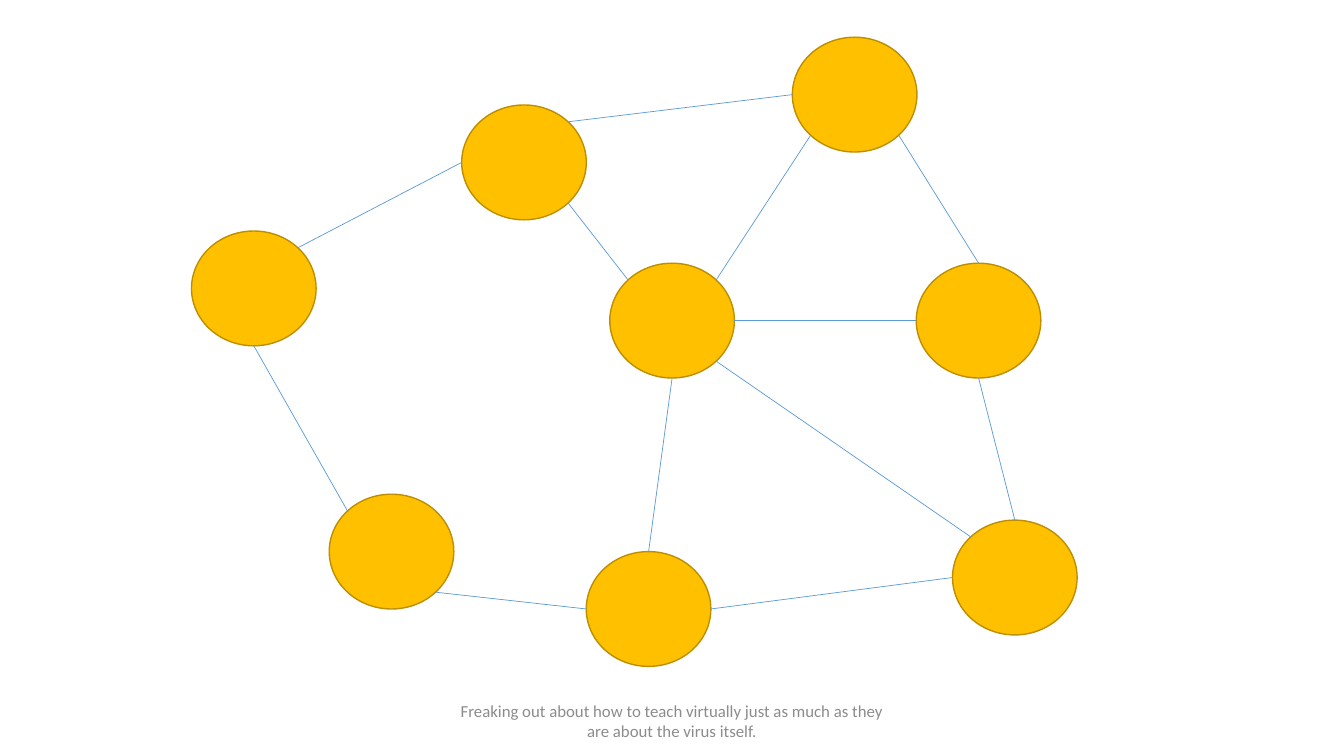
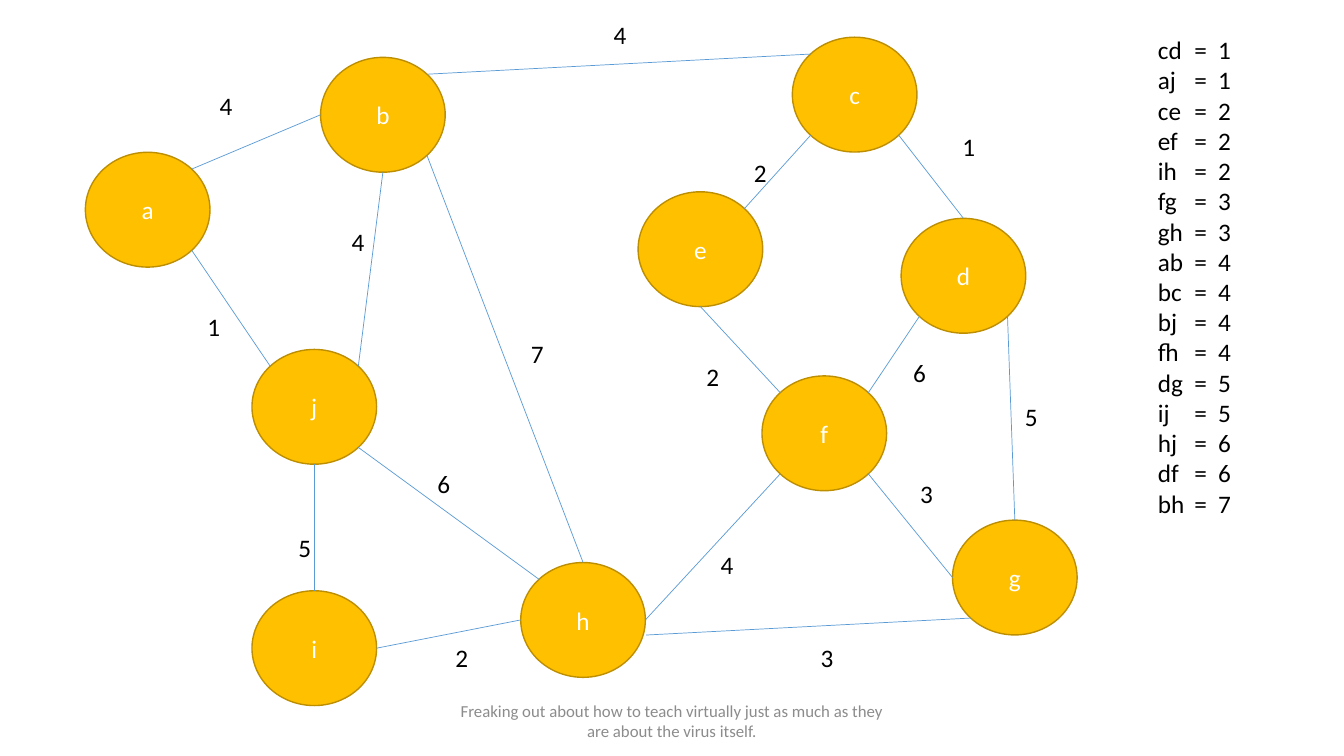
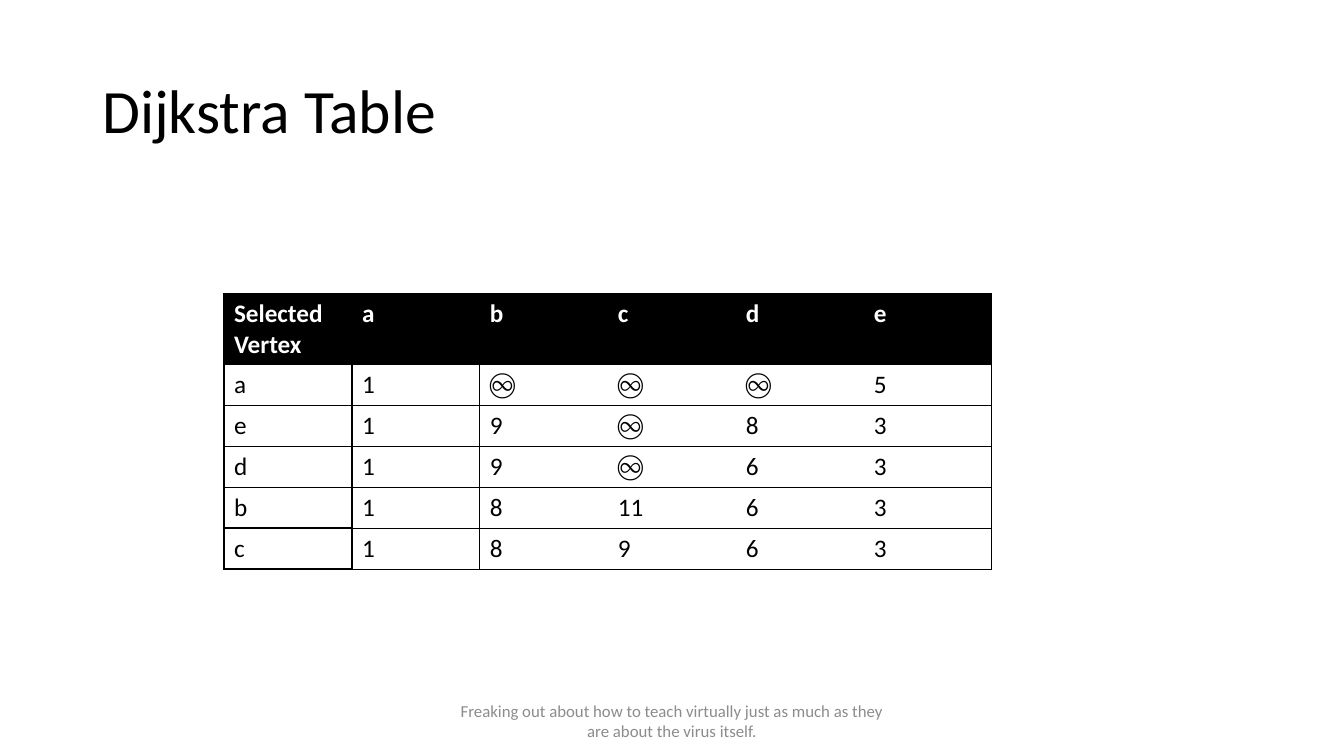
from math import hypot

from pptx import Presentation
from pptx.dml.color import RGBColor
from pptx.enum.shapes import MSO_CONNECTOR, MSO_SHAPE
from pptx.enum.text import MSO_ANCHOR, PP_ALIGN
from pptx.oxml.ns import qn
from pptx.util import Pt
from lxml.etree import SubElement

FONT = "Calibri"
BLACK, WHITE, GRAY = "000000", "FFFFFF", "8C8C8C"
GOLD, RIM, BLUE = "FFC000", "BD8E00", "5B9BD5"
WIDE, HIGH = 89, 82
FOOTER = ("Freaking out about how to teach virtually just as much "
          "as they are about the virus itself.")

PLAIN = {
    "a": (136.8, 165), "b": (329.8, 75), "c": (566, 26.6),
    "d": (654.5, 188), "e": (435.6, 188), "f": (235.2, 353),
    "g": (418.8, 394), "h": (680.4, 371.5),
}
PATHS = [
    "d s h n", "g e h w", "g n e s", "e e d w", "d n c se", "e ne c sw",
    "e nw b se", "b ne c w", "a ne b w", "a s f nw", "f se g w", "e se h nw",
]

NAMED = {
    "a": (61, 108.8), "b": (229, 41), "c": (566, 26.6), "d": (643.7, 156),
    "e": (455.8, 137), "f": (544.3, 268.5), "g": (680.4, 371.5),
    "h": (372, 401.8), "i": (180, 422), "j": (180, 249.6),
}
COSTS = [
    ("j nw a se", "1", 141.1, 219), ("a ne b w", "4", 149.8, 61.2),
    ("j ne b s", "4", 244.1, 158.4), ("b ne c nw", "4", 431.3, 10),
    ("h n b se", "7", 372.2, 238.3), ("i n j s", "5", 206, 376.6),
    ("j se h nw", "6", 305.3, 331.2), ("i e h w", "2", 318.2, 455),
    ("e ne c sw", "2", 531.4, 108.7), ("e s f nw", "2", 497.5, 254.2),
    ("f ne d sw", "6", 645.1, 252), ("d n c se", "1", 680.4, 90),
    ("d se g n", "5", 725, 283), ("f se g w", "3", 650.2, 338.4),
    ("f sw h e", "4", 507.6, 388.8),
]
RANKED = ("cd1 aj1 ce2 ef2 ih2 fg3 gh3 ab4 bc4 bj4 fh4 "
          "dg5 ij5 hj6 df6 bh7").split()

ROWS = [
    ["Selected Vertex", "a", "b", "c", "d", "e"],
    ["a", "1", "♾", "♾", "♾", "5"],
    ["e", "1", "9", "♾", "8", "3"],
    ["d", "1", "9", "♾", "6", "3"],
    ["b", "1", "8", "11", "6", "3"],
    ["c", "1", "8", "9", "6", "3"],
]


def color(code):
    return RGBColor.from_string(code)


def style(frame, size, code, align=PP_ALIGN.LEFT, bold=False):
    for para in frame.paragraphs:
        para.alignment = align
        for run in para.runs:
            run.font.name = FONT
            run.font.size = Pt(size)
            run.font.bold = bold
            run.font.color.rgb = color(code)


def label(slide, box, text, size=18, code=BLACK, align=PP_ALIGN.LEFT,
          anchor=MSO_ANCHOR.TOP, wrap=True):
    frame = slide.shapes.add_textbox(*map(Pt, box)).text_frame
    frame.word_wrap = wrap
    frame.vertical_anchor = anchor
    frame.text = text
    style(frame, size, code, align)
    return frame


def node(slide, spot, text=""):
    shape = slide.shapes.add_shape(
        MSO_SHAPE.OVAL, *map(Pt, (*spot, WIDE, HIGH)))
    shape.shadow.inherit = False
    shape.fill.solid()
    shape.fill.fore_color.rgb = color(GOLD)
    shape.line.color.rgb = color(RIM)
    shape.line.width = Pt(1)
    if text:
        shape.text_frame.text = text
        shape.text_frame.vertical_anchor = MSO_ANCHOR.MIDDLE
        style(shape.text_frame, 18, WHITE, PP_ALIGN.CENTER)


def port(spot, side):
    x = ("e" in side) - ("w" in side)
    y = ("s" in side) - ("n" in side)
    reach = 2 * hypot(x, y)
    return (spot[0] + WIDE * (0.5 + x / reach),
            spot[1] + HIGH * (0.5 + y / reach))


def link(slide, start, end):
    line = slide.shapes.add_connector(
        MSO_CONNECTOR.STRAIGHT, *map(Pt, (*start, *end)))
    line.line.color.rgb = color(BLUE)
    line.line.width = Pt(0.5)
    SubElement(line._element.spPr, qn("a:effectLst"))


def edge(slide, nodes, route):
    tail, exit, head, entry = route.split()
    link(slide, port(nodes[tail], exit), port(nodes[head], entry))


def border(cell, side, width):
    line = SubElement(cell._tc.get_or_add_tcPr(), qn("a:ln" + side))
    line.set("w", str(Pt(width)))
    if width:
        fill = SubElement(line, qn("a:solidFill"))
        SubElement(fill, qn("a:srgbClr")).set("val", BLACK)
    else:
        SubElement(line, qn("a:noFill"))


def grid(slide, left, top, wide, high, tall):
    rows, cols = len(ROWS), len(ROWS[0])
    total = tall + high * (rows - 1)
    table = slide.shapes.add_table(
        rows, cols, *map(Pt, (left, top, wide * cols, total))).table
    table.horz_banding = False
    for col in table.columns:
        col.width = Pt(wide)
    for r, texts in enumerate(ROWS):
        table.rows[r].height = Pt(high if r else tall)
        for c, text in enumerate(texts):
            cell = table.cell(r, c)
            border(cell, "L", 1 if c <= 2 else 0)
            border(cell, "R", 1 if c <= 1 else 0.5 if c == cols - 1 else 0)
            for side in "TB":
                border(cell, side, 0.5 if c else 1)
            cell.fill.solid()
            cell.fill.fore_color.rgb = color(WHITE if r else BLACK)
            cell.text_frame.text = text
            style(cell.text_frame, 18, BLACK if r else WHITE, bold=r == 0)


def tabs(para, stops):
    props = para._p.get_or_add_pPr()
    group = SubElement(props, qn("a:tabLst"))
    for stop in stops:
        tab = SubElement(group, qn("a:tab"))
        tab.set("pos", str(Pt(stop)))
        tab.set("algn", "l")


def page(deck):
    slide = deck.slides.add_slide(deck.slide_layouts[6])
    label(slide, (318, 500.5, 324, 28.8), FOOTER, 12, GRAY,
          PP_ALIGN.CENTER, MSO_ANCHOR.MIDDLE)
    return slide


def graph(deck):
    slide = page(deck)
    for spot in PLAIN.values():
        node(slide, spot)
    for route in PATHS:
        edge(slide, PLAIN, route)


def costs(deck):
    slide = page(deck)
    for name, spot in NAMED.items():
        node(slide, spot, name)
    for route, cost, x, y in COSTS:
        edge(slide, NAMED, route)
        label(slide, (x, y, 24, 29), cost, wrap=False)
    link(slide, (461.5, 453.6), port(NAMED["g"], "sw"))
    label(slide, (579, 455, 24, 29), "3", wrap=False)
    lines = [f"{item[:2]}\t=\t{item[2]}" for item in RANKED]
    frame = label(slide, (820, 21, 140, 356), "\n".join(lines))
    for para in frame.paragraphs:
        tabs(para, (26, 43))


def steps(deck):
    slide = page(deck)
    title = label(slide, (66, 28.8, 828, 104.4), "Dijkstra Table", 44,
                  anchor=MSO_ANCHOR.MIDDLE)
    title.paragraphs[0].line_spacing = 0.9
    grid(slide, 160, 209.6, 91.4, 29.2, 50.8)


def main():
    deck = Presentation()
    deck.slide_width, deck.slide_height = Pt(960), Pt(540)
    graph(deck)
    costs(deck)
    steps(deck)
    deck.save("out.pptx")


main()
